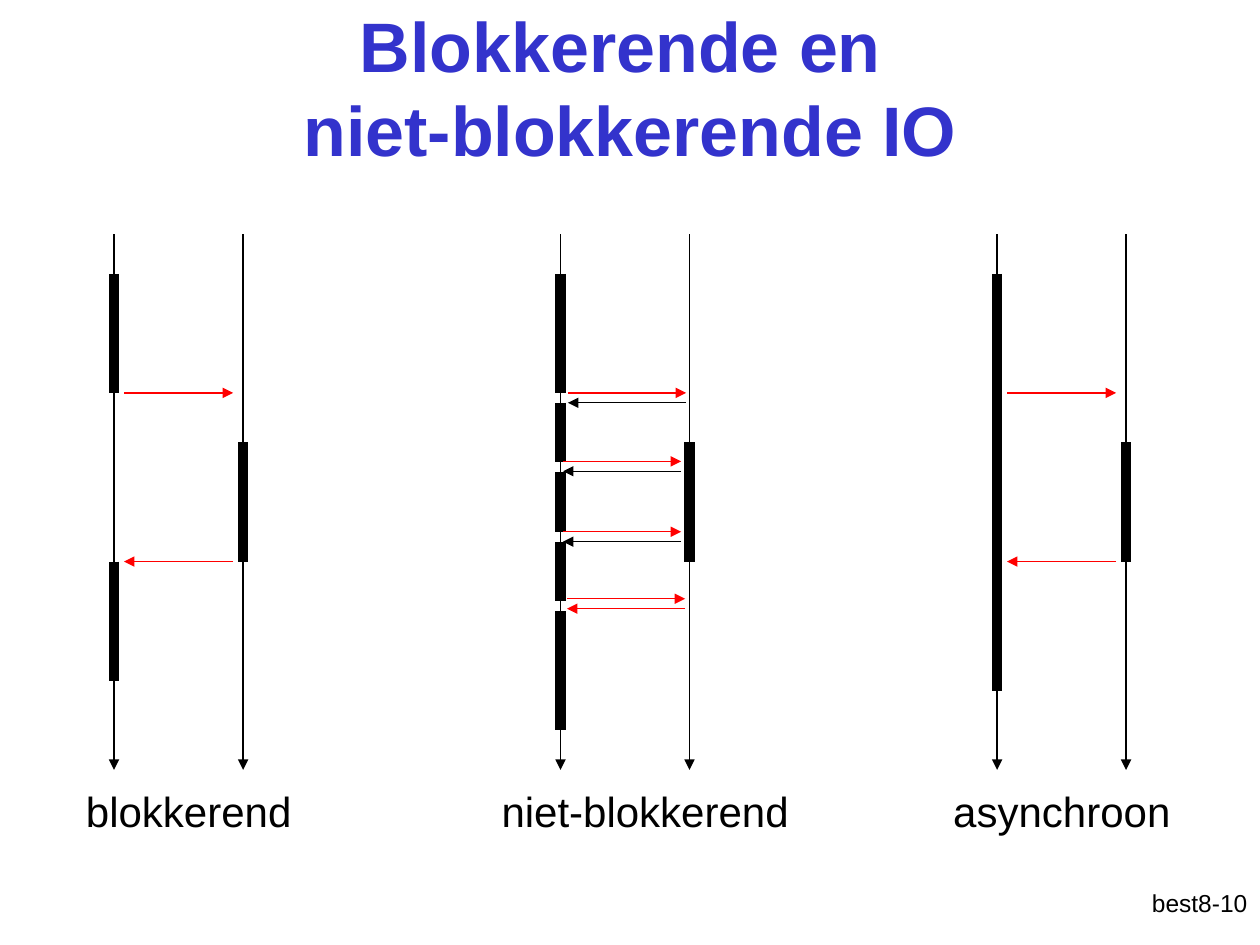
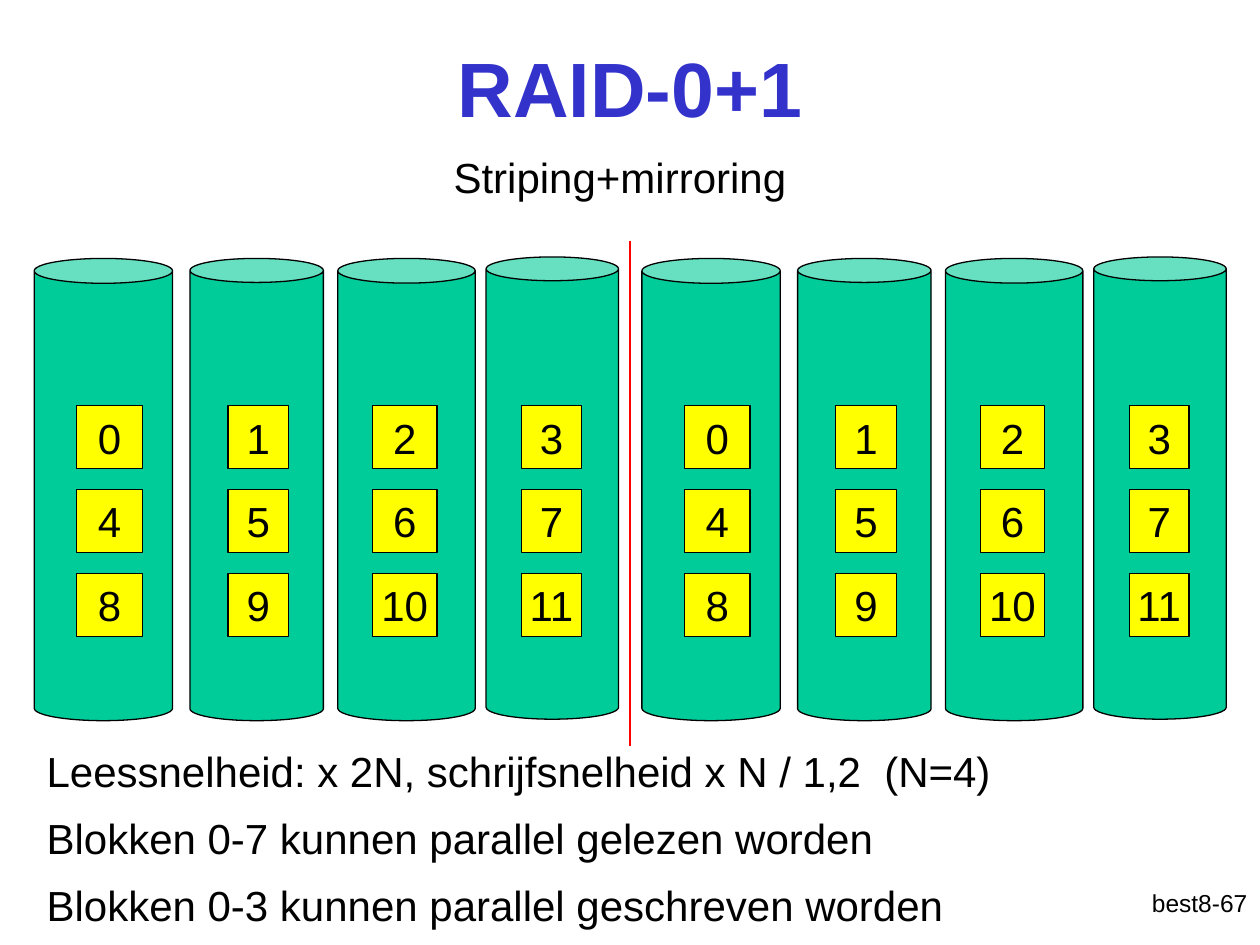
from dataclasses import dataclass

from lxml import etree
from pptx import Presentation
from pptx.dml.color import RGBColor
from pptx.enum.shapes import MSO_CONNECTOR, MSO_SHAPE
from pptx.enum.text import MSO_ANCHOR, MSO_AUTO_SIZE, PP_ALIGN
from pptx.oxml.ns import qn
from pptx.util import Cm, Pt

STRAIGHT = MSO_CONNECTOR.STRAIGHT
CAN, RECTANGLE = MSO_SHAPE.CAN, MSO_SHAPE.RECTANGLE
LEFT, CENTER, RIGHT = PP_ALIGN.LEFT, PP_ALIGN.CENTER, PP_ALIGN.RIGHT
TOP, MIDDLE = MSO_ANCHOR.TOP, MSO_ANCHOR.MIDDLE
NO_AUTOFIT = MSO_AUTO_SIZE.NONE
TITLE_ONLY, TITLE_AND_BODY = 5, 1


@dataclass(frozen=True)
class Theme:
    font: str = "Arial"
    title: RGBColor = RGBColor(0x33, 0x33, 0xCC)
    ink: RGBColor = RGBColor(0, 0, 0)
    signal: RGBColor = RGBColor(0xFF, 0, 0)
    disk: RGBColor = RGBColor(0, 0xCC, 0x99)
    block: RGBColor = RGBColor(0xFF, 0xFF, 0)
    title_size: int = 44
    long_title_size: int = 40
    text_size: int = 24
    footer_size: int = 14
    thin: float = 0.75
    thick: float = 6


THEME = Theme()


@dataclass(frozen=True)
class Box:
    """Position and size in centimetres."""
    left: float
    top: float
    width: float
    height: float

    def lengths(self) -> tuple:
        return Cm(self.left), Cm(self.top), Cm(self.width), Cm(self.height)


@dataclass(frozen=True)
class Message:
    """Horizontal arrow; start and end are offsets from the process line."""
    start: float
    end: float
    y: float
    color: RGBColor = THEME.signal


@dataclass(frozen=True)
class Timeline:
    caption: str
    caption_left: float
    process_x: float
    process_bars: tuple
    messages: tuple


@dataclass(frozen=True)
class Disk:
    left: float
    top: float
    width: float
    block_left: float
    block_width: float


# Shared frames
TITLE_BOX = Box(1.9, 0.15, 21.6, 3.18)
FOOTER_BOX = Box(20.12, 17.78, 5.28, 1.27)

# Timelines
LINE_TOP, LINE_BOTTOM = 4.72, 15.52
DEVICE_OFFSET = 2.6
DEVICE_BAR = (8.92, 11.32)
FIRST_BAR = (5.52, 7.92)
POLL_PITCH, POLL_LENGTH = 1.4, 1.2
POLL_BARS = tuple((8.12 + POLL_PITCH * i, 8.12 + POLL_PITCH * i + POLL_LENGTH)
                  for i in range(3))
REQUEST_AND_REPLY = (Message(0.2, 2.4, 7.92), Message(2.4, 0.2, 11.32))
REPLY_DELAY, POLL_REACH = 0.2, 2.38
# Start offset, height and reply colour of each poll
POLLS = ((0.15, 7.92, THEME.ink), (0.05, 9.3, THEME.ink),
         (0.05, 10.72, THEME.ink), (0.13, 12.07, THEME.signal))
POLL_MESSAGES = tuple(
    message for start, y, color in POLLS
    for message in (Message(start, start + POLL_REACH, y),
                    Message(start + POLL_REACH, start, y + REPLY_DELAY, color)))

TIMELINES = (
    Timeline("blokkerend", 0.3, 2.3, (FIRST_BAR, (11.32, 13.72)), REQUEST_AND_REPLY),
    Timeline("niet-blokkerend", 9.5, 11.3,
             (FIRST_BAR, *POLL_BARS, (12.32, 14.72)), POLL_MESSAGES),
    Timeline("asynchroon", 17.9, 20.1, ((5.52, 13.92),), REQUEST_AND_REPLY),
)

# Disk array
DISKS = (
    Disk(0.69, 5.21, 2.79, 1.55, 1.32),
    Disk(3.83, 5.21, 2.69, 4.6, 1.22),
    Disk(6.81, 5.21, 2.77, 7.51, 1.3),
    Disk(9.8, 5.18, 2.67, 10.52, 1.2),
)
DISK_HEIGHT, LID = 9.32, 0.18
MIRROR_OFFSET = 12.25
BLOCK_TOP, BLOCK_PITCH, BLOCK_HEIGHT, BLOCK_ROWS = 8.18, 1.69, 1.27, 3


def apply_format(target, values: dict) -> None:
    for name, value in values.items():
        setattr(target, name, value)


def write_text(shape, lines: tuple, size: int, align=LEFT, color=THEME.ink,
               bold: bool = False, anchor=TOP, wrap: bool = True,
               gap: float = 0, spacing: float = 1.0) -> None:
    """Fill a shape with one formatted paragraph per line."""
    frame = shape.text_frame
    apply_format(frame, {"auto_size": NO_AUTOFIT, "word_wrap": wrap,
                         "vertical_anchor": anchor})
    frame.text = "\n".join(lines)
    for index, paragraph in enumerate(frame.paragraphs):
        apply_format(paragraph, {"alignment": align, "line_spacing": spacing,
                                 "space_before": Pt(gap if index else 0)})
        for run in paragraph.runs:
            apply_format(run.font, {"name": THEME.font, "size": Pt(size), "bold": bold})
            run.font.color.rgb = color


def place(shape, box: Box) -> None:
    apply_format(shape, dict(zip(("left", "top", "width", "height"), box.lengths())))


def add_text(slide, box: Box, *lines: str, size: int = THEME.text_size, **layout) -> None:
    write_text(slide.shapes.add_textbox(*box.lengths()), lines, size, **layout)


def add_line(slide, start: tuple, end: tuple, color=THEME.ink,
             width: float = THEME.thin, arrow: bool = False) -> None:
    points = [Cm(value) for value in (*start, *end)]
    connector = slide.shapes.add_connector(STRAIGHT, *points)
    connector.line.color.rgb = color
    connector.line.width = Pt(width)
    properties = connector._element.spPr
    if arrow:
        etree.SubElement(properties.find(qn("a:ln")), qn("a:tailEnd"), type="triangle")
    etree.SubElement(properties, qn("a:effectLst"))


def add_filled(slide, kind, box: Box, fill: RGBColor):
    shape = slide.shapes.add_shape(kind, *box.lengths())
    shape.shadow.inherit = False
    shape.fill.solid()
    shape.fill.fore_color.rgb = fill
    shape.line.color.rgb = THEME.ink
    shape.line.width = Pt(THEME.thin)
    return shape


def start_slide(presentation, layout: int, title: str, title_size: int, footer: str):
    """Add a slide with the shared title and footer."""
    slide = presentation.slides.add_slide(presentation.slide_layouts[layout])
    place(slide.shapes.title, TITLE_BOX)
    write_text(slide.shapes.title, (title,), title_size, align=CENTER,
               color=THEME.title, bold=True, anchor=MIDDLE)
    add_text(slide, FOOTER_BOX, footer, size=THEME.footer_size, align=RIGHT)
    return slide


def draw_timeline(slide, timeline: Timeline) -> None:
    process_x = timeline.process_x
    device_x = process_x + DEVICE_OFFSET
    for x, bars in ((process_x, timeline.process_bars), (device_x, (DEVICE_BAR,))):
        add_line(slide, (x, LINE_TOP), (x, LINE_BOTTOM), arrow=True)
        for top, bottom in bars:
            add_line(slide, (x, top), (x, bottom), width=THEME.thick)
    for message in timeline.messages:
        add_line(slide, (process_x + message.start, message.y),
                 (process_x + message.end, message.y), message.color, arrow=True)
    add_text(slide, Box(timeline.caption_left, 15.72, 7.01, 1.27),
             timeline.caption, align=CENTER)


def draw_disks(slide, offset: float) -> None:
    """Draw one striped set of disks, with its numbered blocks."""
    for disk in DISKS:
        box = Box(disk.left + offset, disk.top, disk.width, DISK_HEIGHT)
        add_filled(slide, CAN, box, THEME.disk).adjustments[0] = LID
    for row in range(BLOCK_ROWS):
        for column, disk in enumerate(DISKS):
            box = Box(disk.block_left + offset, BLOCK_TOP + row * BLOCK_PITCH,
                      disk.block_width, BLOCK_HEIGHT)
            block = add_filled(slide, RECTANGLE, box, THEME.block)
            write_text(block, (str(row * len(DISKS) + column),), THEME.text_size,
                       align=CENTER, anchor=MIDDLE, wrap=False)


def build_io_slide(presentation) -> None:
    slide = start_slide(presentation, TITLE_ONLY, "Blokkerende en \vniet-blokkerende IO",
                        THEME.long_title_size, "best8-10")
    for timeline in TIMELINES:
        draw_timeline(slide, timeline)


def build_raid_slide(presentation) -> None:
    slide = start_slide(presentation, TITLE_AND_BODY, "RAID-0+1",
                        THEME.title_size, "best8-67")
    # Subtitle without bullet
    body = slide.placeholders[1]
    place(body, Box(8.89, 2.92, 10.59, 11.43))
    write_text(body, ("Striping+mirroring",), THEME.text_size)
    properties = body.text_frame.paragraphs[0]._p.get_or_add_pPr()
    properties.set("marL", str(Cm(0.95)))
    properties.set("indent", str(Cm(-0.95)))
    etree.SubElement(properties, qn("a:buNone"))
    # Striped set and its mirror
    for offset in (0, MIRROR_OFFSET):
        draw_disks(slide, offset)
    add_text(slide, Box(0.69, 15.11, 27.2, 3.76),
             "Leessnelheid: x 2N, schrijfsnelheid x N / 1,2  (N=4)",
             "Blokken 0-7 kunnen parallel gelezen worden",
             "Blokken 0-3 kunnen parallel geschreven worden",
             gap=15, spacing=0.8)
    add_line(slide, (12.7, 4.85), (12.7, 15.04), THEME.signal)


def main() -> None:
    presentation = Presentation()
    apply_format(presentation, {"slide_width": Cm(25.4), "slide_height": Cm(19.05)})
    build_io_slide(presentation)
    build_raid_slide(presentation)
    presentation.save("out.pptx")


if __name__ == "__main__":
    main()
